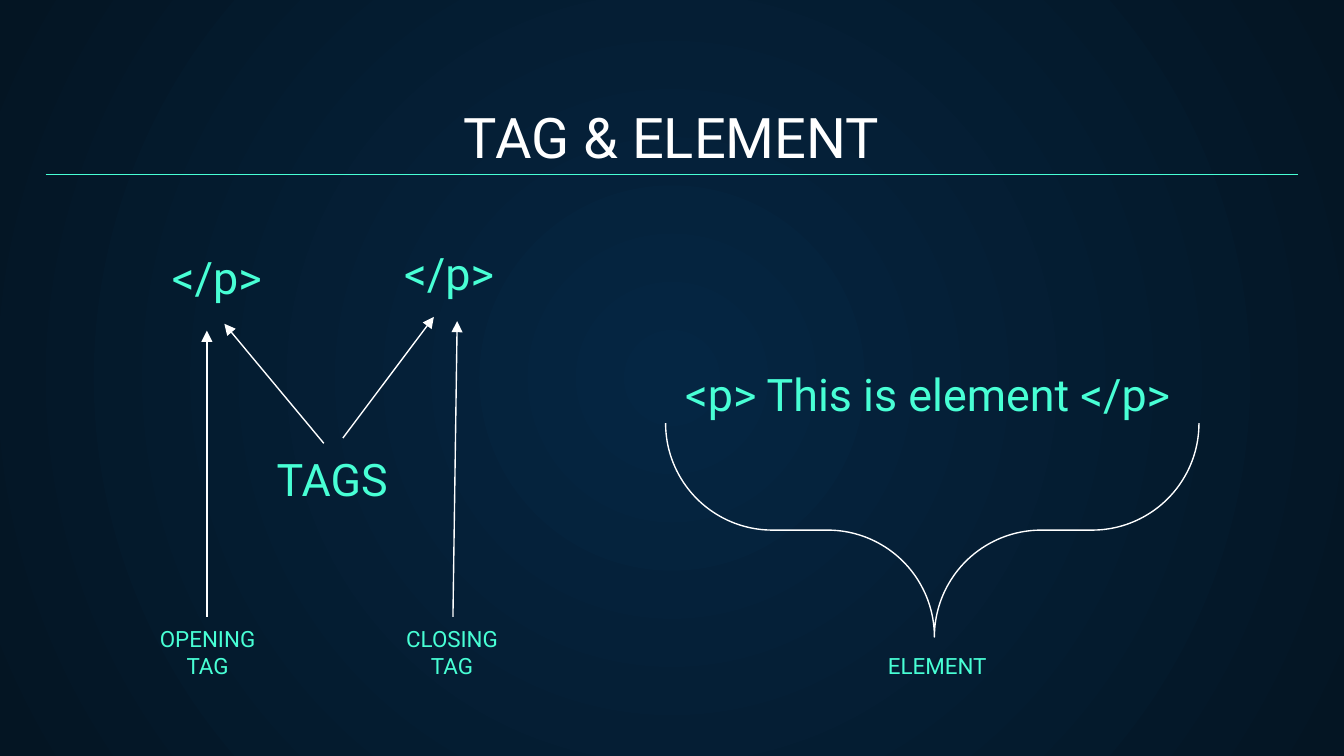
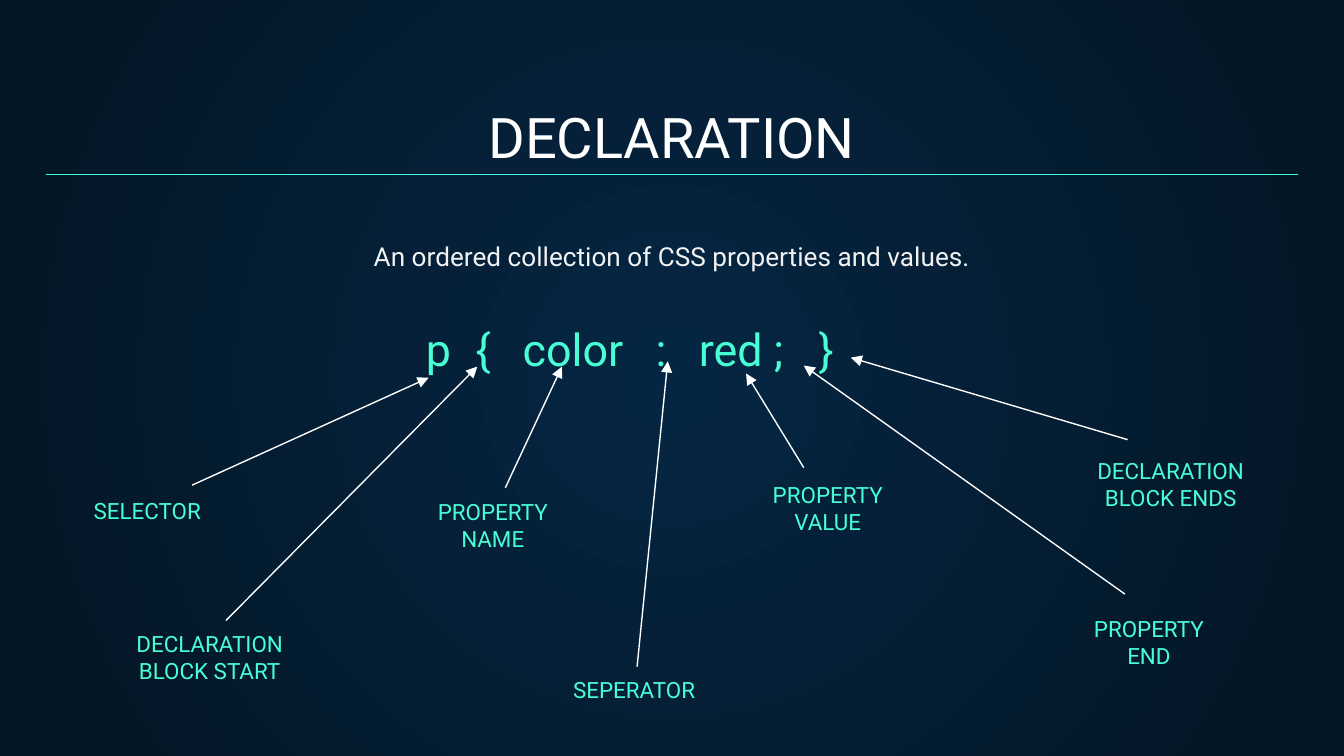
import dataclasses

import lxml.etree
import pptx
import pptx.dml.color
import pptx.enum.shapes
import pptx.enum.text
import pptx.oxml.ns
import pptx.util

Cm = pptx.util.Cm
qn = pptx.oxml.ns.qn
Align = pptx.enum.text.PP_ALIGN
Side = pptx.enum.text.MSO_ANCHOR


@dataclasses.dataclass(frozen=True)
class Theme:
    font: str = "Roboto"
    core: str = "052643"
    edge: str = "041523"
    mint: str = "48FFD5"
    white: str = "FFFFFF"
    pale: str = "F2F2F2"
    title: int = 30
    code: int = 24
    body: int = 14
    label: int = 12
    stroke: float = 0.75


theme = Theme()


def write(slide, words, left, top, width, high, size, color=theme.mint,
          align=Align.CENTER, anchor=Side.BOTTOM, pad=0.25, space=None):
    """Add a text box holding one paragraph and return the box."""
    box = slide.shapes.add_textbox(Cm(left), Cm(top), Cm(width), Cm(high))
    frame = box.text_frame
    frame.word_wrap = True
    frame.vertical_anchor = anchor
    frame.margin_left = frame.margin_right = Cm(0.25)
    frame.margin_top = frame.margin_bottom = Cm(pad)
    para = frame.paragraphs[0]
    para.alignment = align
    para.line_spacing = space
    run = para.add_run()
    run.text = words
    run.font.name = theme.font
    run.font.size = pptx.util.Pt(size)
    run.font.color.rgb = pptx.dml.color.RGBColor.from_string(color)
    return box


def draw(slide, ends, color=theme.white, arrow=True):
    """Add a straight line, with an arrowhead at its end if asked."""
    line = slide.shapes.add_connector(
        pptx.enum.shapes.MSO_CONNECTOR.STRAIGHT, *map(Cm, ends))
    line.line.color.rgb = pptx.dml.color.RGBColor.from_string(color)
    line.line.width = pptx.util.Pt(theme.stroke)
    props = line.element.spPr
    if arrow:
        lxml.etree.SubElement(props.find(qn("a:ln")), qn("a:tailEnd"), type="triangle")
    lxml.etree.SubElement(props, qn("a:effectLst"))


deck = pptx.Presentation()
deck.slide_width, deck.slide_height = Cm(25.4), Cm(14.29)

# Shared background: a round gradient on the master
fill = deck.slide_master.background.fill
fill.gradient()
for stop, color in zip(fill.gradient_stops, (theme.core, theme.edge)):
    stop.color.rgb = pptx.dml.color.RGBColor.from_string(color)
grad = deck.slide_master.element.find(".//" + qn("a:gradFill"))
grad.remove(grad.find(qn("a:lin")))
round_ = lxml.etree.SubElement(grad, qn("a:path"), {"path": "circle"})
lxml.etree.SubElement(round_, qn("a:fillToRect"), dict.fromkeys("ltrb", "50000"))

# Shared title and rule
slides = []
for title in ("TAG & ELEMENT", "DECLARATION"):
    slide = deck.slides.add_slide(deck.slide_layouts[6])
    write(slide, title, 0.86, 1.78, 23.67, 1.68, theme.title, theme.white)
    draw(slide, (0.86, 3.3, 24.54, 3.3), theme.mint, arrow=False)
    slides.append(slide)
tags, rules = slides

# Arrows: start x, y and end x, y
arrows = (
    (tags, (
        (6.12, 8.38, 4.24, 6.12),
        (6.48, 8.28, 8.2, 5.99),
        (3.91, 11.66, 3.91, 6.25),
        (8.56, 11.66, 8.64, 6.07),
    )),
    (rules, (
        (3.63, 9.17, 8.1, 7.14),
        (4.27, 11.73, 9.02, 6.93),
        (9.55, 9.22, 10.62, 6.93),
        (12.04, 12.6, 12.62, 6.83),
        (15.19, 8.84, 14.1, 7.06),
        (21.26, 11.23, 15.19, 6.91),
        (21.31, 8.31, 16.08, 6.76),
    )),
)
for slide, group in arrows:
    for ends in group:
        draw(slide, ends)

# Brace under the element
brace = tags.shapes.add_shape(
    pptx.enum.shapes.MSO_SHAPE.LEFT_BRACE, Cm(15.6), Cm(4.98), Cm(4.04), Cm(10.08))
brace.rotation = 270
brace.adjustments[0], brace.adjustments[1] = 0.5, 0.504
brace.shadow.inherit = False
brace.fill.background()
brace.line.color.rgb = pptx.dml.color.RGBColor.from_string(theme.white)
brace.line.width = pptx.util.Pt(theme.stroke)

# Code on the first slide
for words, left, top, width in (
    ("</p>", 3, 4.72, 2.26),
    ("</p>", 7.39, 4.65, 2.26),
    ("TAGS", 4.98, 8.53, 2.95),
    ("<p> This is element </p>", 12.7, 6.93, 11.25),
):
    write(tags, words, left, top, width, 1.27, theme.code, align=Align.LEFT)

# Lead sentence and code on the second slide, code spaced by tab stops
lead = write(rules, "An ordered collection of CSS properties and values.",
             6.35, 4.11, 12.7, 1.07, theme.body, theme.pale,
             anchor=Side.TOP, pad=0.13, space=1.5)
code = write(rules, "p\t{\tcolor\t:\tred ;\t}", 5.69, 5.44, 12.7, 1.63, theme.code,
             align=Align.LEFT, anchor=Side.TOP, pad=0.13, space=1.5)
for box in (lead, code):
    box.text_frame.auto_size = pptx.enum.text.MSO_AUTO_SIZE.SHAPE_TO_FIT_TEXT
code.text_frame.margin_left = Cm(2.36)
props = code.text_frame.paragraphs[0].alignment is not None and code.element.find(".//" + qn("a:pPr"))
stops = lxml.etree.SubElement(props, qn("a:tabLst"))
for place in (0.94, 1.83, 4.34, 5.16, 7.42):
    lxml.etree.SubElement(stops, qn("a:tab"), pos=str(int(Cm(place))), algn="l")

# Labels
for slide, words, left, top, width in (
    (tags, "OPENING TAG", 2.54, 11.81, 2.77),
    (tags, "CLOSING TAG", 7.16, 11.81, 2.77),
    (tags, "ELEMENT", 16.33, 11.81, 2.77),
    (rules, "SELECTOR", 1.4, 8.89, 2.77),
    (rules, "DECLARATION BLOCK START", 2.24, 11.91, 3.45),
    (rules, "PROPERTY NAME", 7.59, 9.42, 3.45),
    (rules, "SEPERATOR", 10.26, 12.27, 3.45),
    (rules, "PROPERTY VALUE", 13.92, 9.09, 3.45),
    (rules, "PROPERTY END", 19.99, 11.63, 3.45),
    (rules, "DECLARATION BLOCK ENDS", 20.4, 8.64, 3.45),
):
    write(slide, words, left, top, width, 1.27, theme.label)

deck.save("out.pptx")
